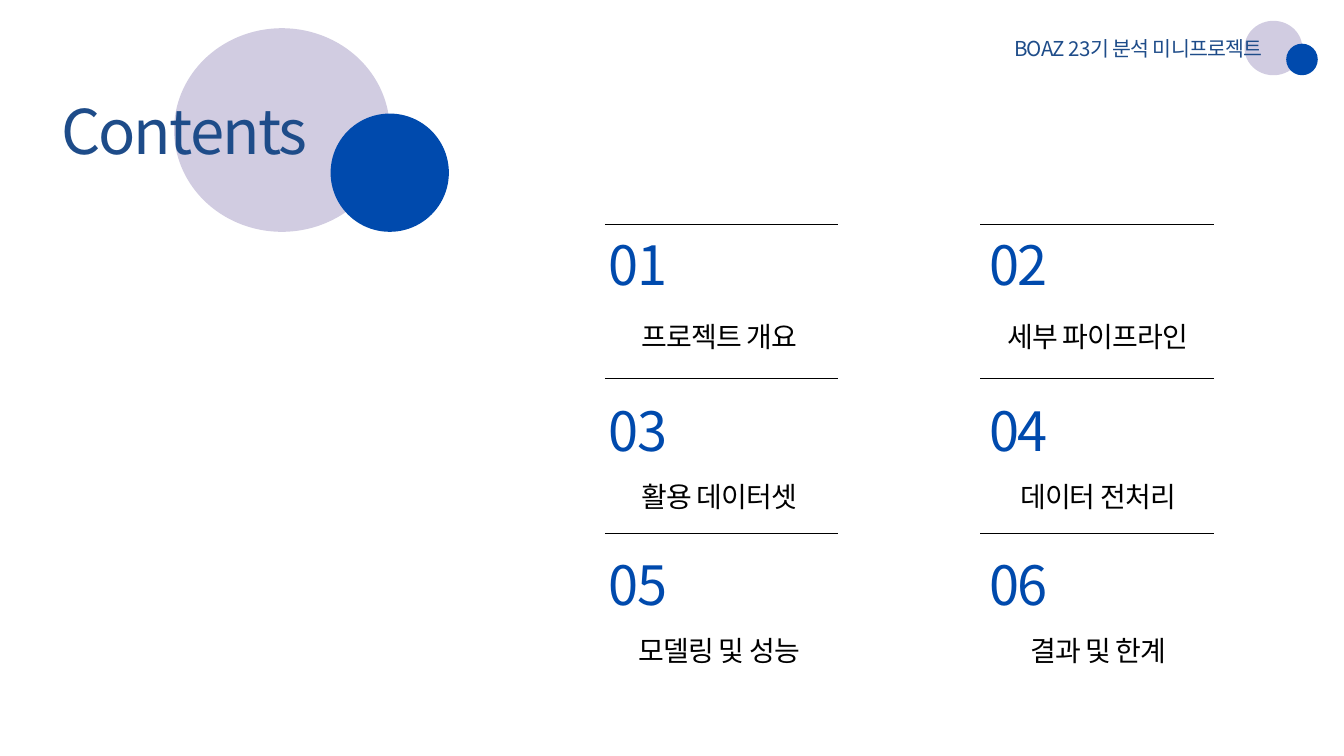
from dataclasses import dataclass

import lxml.etree
import pptx
import pptx.dml.color
import pptx.enum.shapes
import pptx.enum.text
import pptx.oxml.ns
import pptx.slide
import pptx.util

EMU_PER_PX = 9144
FONT = "Noto Sans CJK SC"
LAVENDER = pptx.dml.color.RGBColor(0xD1, 0xCC, 0xE1)
BLUE = pptx.dml.color.RGBColor(0x00, 0x4A, 0xAD)
NAVY = pptx.dml.color.RGBColor(0x1E, 0x4C, 0x89)
BLACK = pptx.dml.color.RGBColor(0, 0, 0)
LEFT = pptx.enum.text.PP_ALIGN.LEFT
CENTER = pptx.enum.text.PP_ALIGN.CENTER
RULE_WIDTH = 347
LINE_SPACING = 1.2


@dataclass(frozen=True)
class Circle:
    left: int
    top: int
    width: int
    height: int
    color: pptx.dml.color.RGBColor


@dataclass(frozen=True)
class Column:
    rule_left: int
    number_left: int
    label_center: int


@dataclass(frozen=True)
class Row:
    rule_top: int
    number_top: int
    label_top: int


@dataclass(frozen=True)
class Section:
    title: str
    label_width: int


CIRCLES = [
    Circle(259, 42, 321, 303, LAVENDER),
    Circle(492, 169, 176, 176, BLUE),
    Circle(1852, 31, 86, 81, LAVENDER),
    Circle(1914, 65, 47, 47, BLUE),
]
COLUMNS = [Column(900, 906, 1070), Column(1459, 1472, 1634)]
ROWS = [Row(334, 344, 475), Row(563, 591, 713), Row(793, 821, 943)]
SECTIONS = [
    Section("프로젝트 개요", 251),
    Section("세부 파이프라인", 274),
    Section("활용 데이터셋", 302),
    Section("데이터 전처리", 296),
    Section("모델링 및 성능", 251),
    Section("결과 및 한계", 251),
]


def px(length: int) -> pptx.util.Emu:
    return pptx.util.Emu(length * EMU_PER_PX)


def add_circle(slide: pptx.slide.Slide, circle: Circle) -> None:
    shape = slide.shapes.add_shape(
        pptx.enum.shapes.MSO_SHAPE.OVAL,
        px(circle.left), px(circle.top), px(circle.width), px(circle.height),
    )
    shape.shadow.inherit = False
    shape.fill.solid()
    shape.fill.fore_color.rgb = circle.color
    shape.line.fill.background()


def add_rule(slide: pptx.slide.Slide, left: int, top: int) -> None:
    connector = slide.shapes.add_connector(
        pptx.enum.shapes.MSO_CONNECTOR.STRAIGHT,
        px(left), px(top), px(left + RULE_WIDTH), px(top),
    )
    connector.line.color.rgb = BLACK
    connector.line.width = pptx.util.Pt(0.75)
    properties = connector._element.spPr
    lxml.etree.SubElement(properties, pptx.oxml.ns.qn("a:effectLst"))


def add_text(
    slide: pptx.slide.Slide,
    text: str,
    *,
    left: int,
    top: int,
    width: int,
    height: int,
    size: int,
    color: pptx.dml.color.RGBColor,
    tracking: float,
    alignment: pptx.enum.text.PP_ALIGN = LEFT,
) -> None:
    shape = slide.shapes.add_textbox(px(left), px(top), px(width), px(height))
    frame = shape.text_frame
    frame.margin_left = frame.margin_right = 0
    frame.margin_top = frame.margin_bottom = 0
    frame.word_wrap = True
    frame.auto_size = pptx.enum.text.MSO_AUTO_SIZE.SHAPE_TO_FIT_TEXT
    paragraph = frame.paragraphs[0]
    paragraph.alignment = alignment
    paragraph.line_spacing = pptx.util.Pt(size * LINE_SPACING)
    run = paragraph.add_run()
    run.text = text
    run.font.size = pptx.util.Pt(size)
    run.font.name = FONT
    run.font.color.rgb = color
    properties = run._r.get_or_add_rPr()
    properties.set("spc", str(round(tracking * 100)))
    east_asian = lxml.etree.SubElement(properties, pptx.oxml.ns.qn("a:ea"))
    east_asian.set("typeface", FONT)


def add_section(
    slide: pptx.slide.Slide, number: int, section: Section, column: Column, row: Row
) -> None:
    add_rule(slide, column.rule_left, row.rule_top)
    add_text(
        slide, f"{number:02d}", left=column.number_left, top=row.number_top,
        width=219, height=96, size=58, color=BLUE, tracking=-1.7,
    )
    add_text(
        slide, section.title, left=column.label_center - section.label_width // 2,
        top=row.label_top, width=section.label_width, height=51, size=30,
        color=BLACK, tracking=-0.9, alignment=CENTER,
    )


def main() -> None:
    presentation = pptx.Presentation()
    presentation.slide_width = px(2000)
    presentation.slide_height = px(1125)
    slide = presentation.slides.add_slide(presentation.slide_layouts[6])

    for circle in CIRCLES:
        add_circle(slide, circle)
    add_text(
        slide, "Contents", left=91, top=138, width=723, height=109,
        size=66, color=NAVY, tracking=-2,
    )
    add_text(
        slide, "BOAZ 23기 분석 미니프로젝트", left=1509, top=54, width=723, height=36,
        size=22, color=NAVY, tracking=-0.7,
    )
    for index, section in enumerate(SECTIONS):
        row, column = divmod(index, len(COLUMNS))
        add_section(slide, index + 1, section, COLUMNS[column], ROWS[row])

    presentation.save("out.pptx")


if __name__ == "__main__":
    main()
